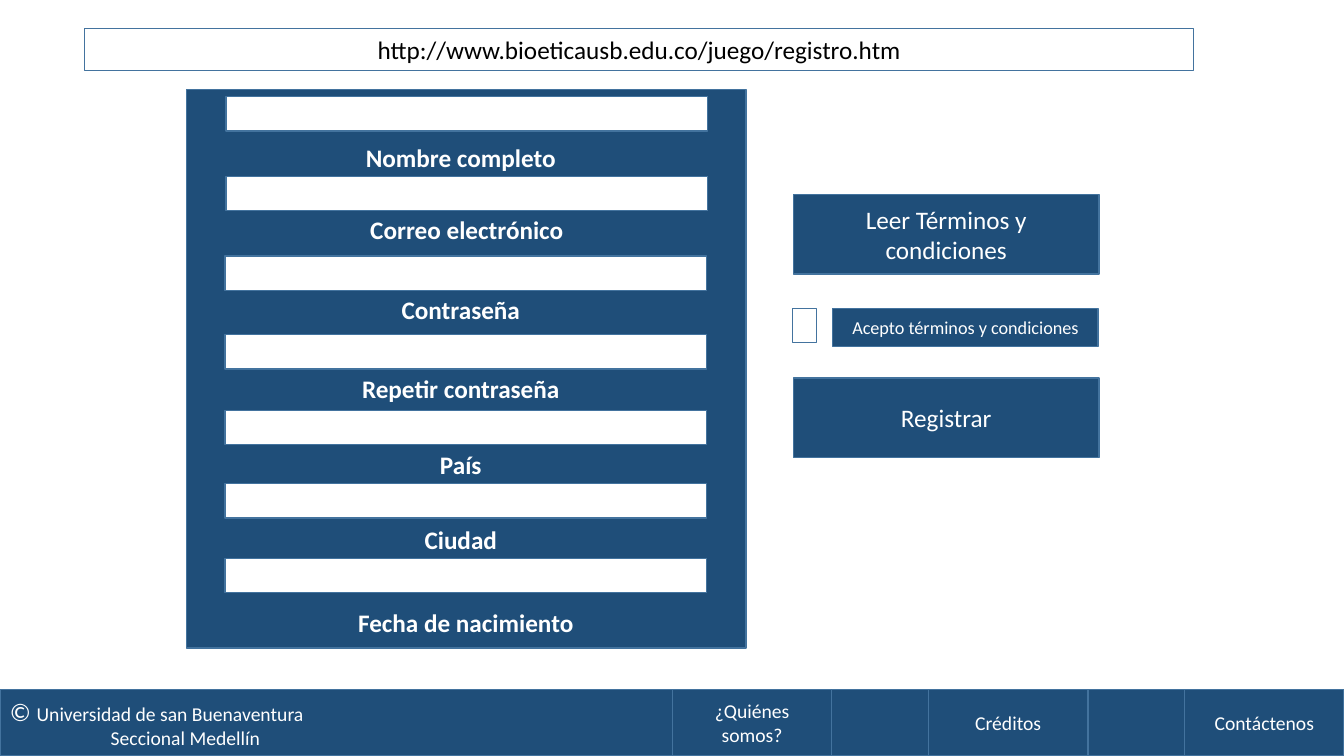
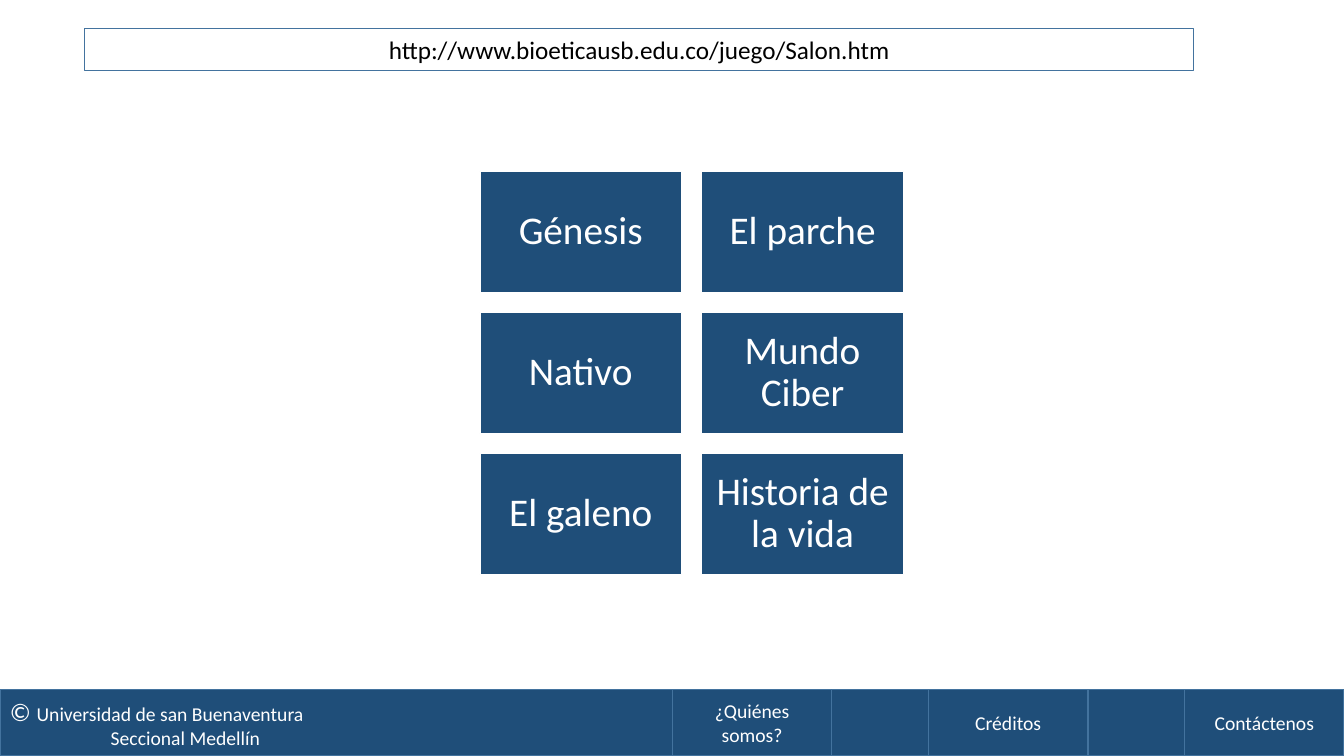
from pptx import Presentation
from pptx.dml.color import RGBColor
from pptx.enum.shapes import MSO_SHAPE as Shape
from pptx.enum.text import MSO_ANCHOR as Anchor, PP_ALIGN as Align
from pptx.util import Inches, Pt

# Shared look
NAVY, EDGE, WHITE, BLACK = "1F4E79", "43739E", "FFFFFF", "000000"
FONT = "Calibri"
SLIDE_WIDTH, SLIDE_HEIGHT = 13.33, 7.5
FOOTER_TOP, FOOTER_HEIGHT = 6.84, 0.66
NAV_LEFT, NAV_WIDTH = 6.67, 1.58
NAV_ITEMS = ["¿Quiénes somos?", "Créditos", "Contáctenos"]

# Registration form: label, field left and top, label left and top
FORM_ROWS = [
    ("Nombre completo", 2.24, 0.96, 2.48, 1.36),
    ("Correo electrónico", 2.24, 1.75, 2.54, 2.08),
    ("Contraseña", 2.23, 2.54, 2.48, 2.87),
    ("Repetir contraseña", 2.23, 3.32, 2.48, 3.65),
    ("País", 2.23, 4.07, 2.48, 4.41),
    ("Ciudad", 2.23, 4.8, 2.48, 5.15),
    ("Fecha de nacimiento", 2.23, 5.54, 2.53, 5.98),
]

# Game rooms, in reading order
ROOMS = ["Génesis", "El parche", "Nativo", "Mundo Ciber", "El galeno",
         "Historia de la vida"]
ROOM_COLUMNS, ROOM_GAP = 2, 0.2


def color(value):
    return RGBColor.from_string(value)


def add_run(paragraph, text, size=18, ink=WHITE, bold=False):
    run = paragraph.add_run()
    run.text = text
    font_format = {"name": FONT, "size": Pt(size), "bold": bold}
    for name, value in font_format.items():
        setattr(run.font, name, value)
    run.font.color.rgb = color(ink)


def add_box(slide, left, top, width, height, text="", fill=NAVY, line=EDGE,
            size=18, ink=WHITE):
    """Add a filled rectangle with centred text."""
    shape = slide.shapes.add_shape(
        Shape.RECTANGLE, Inches(left), Inches(top), Inches(width), Inches(height))
    shape.shadow.inherit = False
    shape.fill.solid()
    shape.fill.fore_color.rgb = color(fill)
    shape.line.color.rgb = color(line)
    shape.line.width = Pt(1)
    shape.text_frame.word_wrap = True
    shape.text_frame.vertical_anchor = Anchor.MIDDLE
    if text:
        paragraph = shape.text_frame.paragraphs[0]
        paragraph.alignment = Align.CENTER
        add_run(paragraph, text, size, ink)
    return shape


def add_label(slide, left, top, text):
    box = slide.shapes.add_textbox(
        Inches(left), Inches(top), Inches(4.18), Inches(0.4))
    box.text_frame.word_wrap = True
    paragraph = box.text_frame.paragraphs[0]
    paragraph.alignment = Align.CENTER
    add_run(paragraph, text, bold=True)


def add_footer(slide):
    band = add_box(slide, 0, FOOTER_TOP, SLIDE_WIDTH, FOOTER_HEIGHT)
    owner = band.text_frame.paragraphs[0]
    campus = band.text_frame.add_paragraph()
    owner.alignment = campus.alignment = Align.LEFT
    add_run(owner, "© ")
    add_run(owner, "Universidad de san Buenaventura", 14)
    campus._p.get_or_add_pPr().set("marL", str(Inches(1)))
    add_run(campus, "Seccional Medellín", 14)

    step = (SLIDE_WIDTH - NAV_WIDTH - NAV_LEFT) / (len(NAV_ITEMS) - 1)
    for index, text in enumerate(NAV_ITEMS):
        add_box(slide, NAV_LEFT + index * step, FOOTER_TOP, NAV_WIDTH,
                FOOTER_HEIGHT, text, size=14)


def add_page(presentation, address):
    """Add a blank slide with the address bar and the footer."""
    slide = presentation.slides.add_slide(presentation.slide_layouts[6])
    add_box(slide, 0.84, 0.28, 11, 0.42, address, fill=WHITE, ink=BLACK)
    add_footer(slide)
    return slide


def build_registration(presentation):
    slide = add_page(presentation, "http://www.bioeticausb.edu.co/juego/registro.htm")
    # Form panel
    add_box(slide, 1.85, 0.89, 5.55, 5.54)
    for text, field_left, field_top, label_left, label_top in FORM_ROWS:
        add_box(slide, field_left, field_top, 4.78, 0.34, fill=WHITE)
        add_label(slide, label_left, label_top, text)
    # Terms and submit button
    add_box(slide, 7.87, 1.93, 3.03, 0.79, "Leer Términos y condiciones")
    add_box(slide, 7.86, 3.06, 0.24, 0.34, fill=WHITE)
    add_box(slide, 8.26, 3.06, 2.63, 0.38, "Acepto términos y condiciones", size=13)
    add_box(slide, 7.87, 3.75, 3.03, 0.79, "Registrar")


def build_rooms(presentation):
    slide = add_page(presentation, "http://www.bioeticausb.edu.co/juego/Salon.htm")
    width, height = 2, 1.2
    for index, text in enumerate(ROOMS):
        row, column = divmod(index, ROOM_COLUMNS)
        tile = add_box(slide, 4.76 + column * (width + ROOM_GAP),
                       1.7 + row * (height + ROOM_GAP), width, height, text,
                       line=WHITE, size=28)
        for side in ("left", "top", "right", "bottom"):
            setattr(tile.text_frame, f"margin_{side}", Inches(0.12))
        tile.text_frame.paragraphs[0].line_spacing = 0.9


def main():
    presentation = Presentation()
    presentation.slide_width = Inches(SLIDE_WIDTH)
    presentation.slide_height = Inches(SLIDE_HEIGHT)
    build_registration(presentation)
    build_rooms(presentation)
    presentation.save("out.pptx")


if __name__ == "__main__":
    main()
